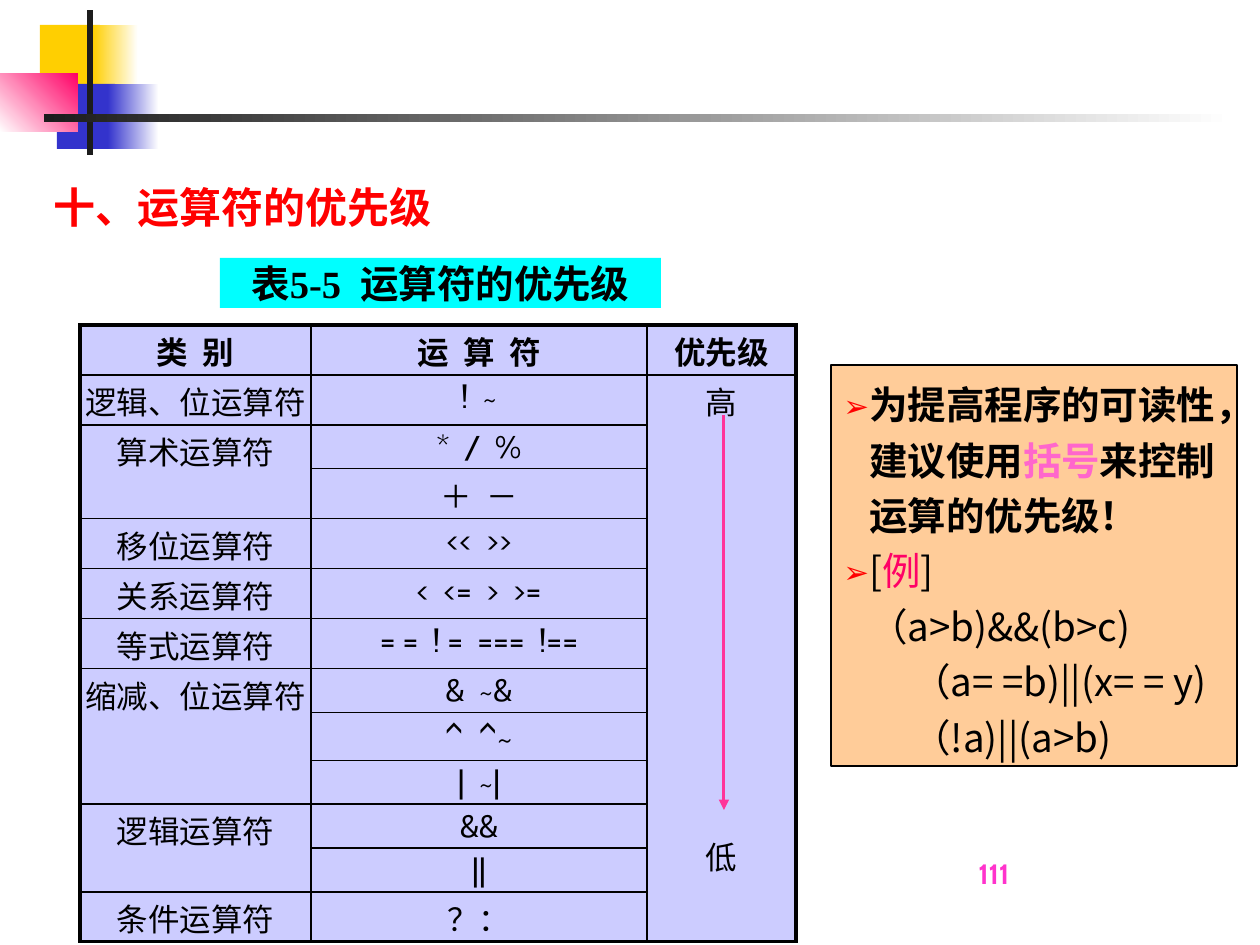
from dataclasses import dataclass

from lxml.etree import SubElement
from pptx import Presentation
from pptx.dml.color import RGBColor
from pptx.enum.shapes import MSO_CONNECTOR as Connector, MSO_SHAPE as Shape
from pptx.enum.text import MSO_ANCHOR as Anchor, PP_ALIGN as Align
from pptx.oxml import parse_xml
from pptx.oxml.ns import nsdecls, qn
from pptx.util import Emu, Pt

PX = 914400 / 126


@dataclass(frozen=True)
class Theme:
    black: str = "000000"
    white: str = "FFFFFF"
    dark: str = "1C1C1C"
    yellow: str = "FFCF01"
    blue: str = "3333CC"
    pink: str = "FF0066"
    red: str = "FF0000"
    cyan: str = "00FFFF"
    peach: str = "FFCC99"
    lilac: str = "CCCCFF"
    arrow: str = "FF3399"
    keyword: str = "FF66CC"
    number: str = "FF33CC"
    latin: str = "Cabin"
    serif: str = "Times New Roman"
    cjk: str = "Noto Sans CJK SC"
    cjk_note: str = "Noto Sans CJK JP"
    heading: int = 24
    body: int = 22
    caret: int = 20
    cell: int = 18
    page: int = 16


T = Theme()

# Category and its operators, from high to low priority
OPERATORS = [
    ("逻辑、位运算符", ["!  ~"]),
    ("算术运算符", ["*  /  %", "＋  －"]),
    ("移位运算符", ["<<  >>"]),
    ("关系运算符", ["<  <=  >  >="]),
    ("等式运算符", ["= =  ! =  ===  !=="]),
    ("缩减、位运算符", ["&  ~&", "^  ^~", "|  ~|"]),
    ("逻辑运算符", ["&&", "||"]),
    ("条件运算符", ["？："]),
]
COLUMN_WIDTHS = (231, 336, 149)
ROW_HEIGHTS = (50, 50, 42, 50, 50, 50, 50, 42, 48, 42, 42, 43, 50)


def px(n):
    return Emu(round(n * PX))


def rgb(color):
    return RGBColor.from_string(color)


def style(p, size, font, color=T.black, bold=False, align=None):
    p.font.size, p.font.name, p.font.bold = Pt(size), font, bold
    p.font.color.rgb = rgb(color)
    p.alignment = align


def add_run(p, text, color, bold):
    r = p.add_run()
    r.text = text
    r.font.name, r.font.size, r.font.bold = T.cjk_note, Pt(T.body), bold
    r.font.color.rgb = rgb(color)
    SubElement(r.font._element, qn("a:ea")).set("typeface", T.cjk_note)


def add_rect(slide, box, fill, fade=None, angle=0, line=None):
    sp = slide.shapes.add_shape(Shape.RECTANGLE, *map(px, box))
    sp.shadow.inherit = False
    if fade:
        sp.fill.gradient()
        sp.fill.gradient_angle = angle
        for stop, color in zip(sp.fill.gradient_stops, (fill, fade)):
            stop.color.rgb = rgb(color)
    else:
        sp.fill.solid()
        sp.fill.fore_color.rgb = rgb(fill)
    if line:
        sp.line.color.rgb = rgb(line)
        sp.line.width = Pt(0.75)
    else:
        sp.line.fill.background()
    return sp


def add_label(slide, box, text, *font):
    tf = slide.shapes.add_textbox(*map(px, box)).text_frame
    tf.word_wrap = True
    tf.text = text
    style(tf.paragraphs[0], *font)
    return tf.paragraphs[0]


def add_decoration(slide):
    add_rect(slide, (40, 25, 60, 66), T.yellow)
    add_rect(slide, (93, 25, 45, 66), T.yellow, T.white)
    add_rect(slide, (57, 84, 58, 65), T.blue)
    add_rect(slide, (108, 84, 51, 65), T.blue, T.white)
    add_rect(slide, (0, 73, 78, 59), T.white, T.pink, angle=45)
    add_rect(slide, (87, 10, 6, 145), T.dark)
    add_rect(slide, (44, 114, 1188, 8), T.dark, T.white)


def set_borders(table, row, col):
    """Thick outer frame, thin inner lines, none inside merged cells."""
    cell = table.cell(row, col)
    last_row, last_col = len(table.rows) - 1, len(table.columns) - 1
    bottom = row + cell.span_height - 1 if cell.is_merge_origin else row
    edges = {"L": col == 0, "R": col == last_col}
    if not cell.is_spanned:
        edges["T"] = row == 0
    if bottom == last_row or not table.cell(bottom + 1, col).is_spanned:
        edges["B"] = bottom == last_row
    tc_pr = cell._tc.get_or_add_tcPr()
    for i, (side, outer) in enumerate(edges.items()):
        tc_pr.insert(i, parse_xml(
            f'<a:ln{side} {nsdecls("a")} w="{Pt(2.25 if outer else 1)}"><a:solidFill>'
            f'<a:srgbClr val="{T.black}"/></a:solidFill></a:ln{side}>'))


def fill_cell(cell, text, bold=False):
    cell.text = text
    for p in cell.text_frame.paragraphs:
        size = T.caret if text.startswith("^") else T.cell
        style(p, size, T.latin, bold=bold, align=Align.CENTER)


def add_priority_table(slide):
    count = len(ROW_HEIGHTS)
    table = slide.shapes.add_table(count, 3, px(80), px(325), px(sum(COLUMN_WIDTHS)),
                                   px(sum(ROW_HEIGHTS))).table
    for column, width in zip(table.columns, COLUMN_WIDTHS):
        column.width = px(width)
    for table_row, height in zip(table.rows, ROW_HEIGHTS):
        table_row.height = px(height)
    for col, text in enumerate(("类  别", "运  算  符", "优先级")):
        fill_cell(table.cell(0, col), text, bold=True)
    row = 1
    for category, ops in OPERATORS:
        fill_cell(table.cell(row, 0), category)
        for i, op in enumerate(ops):
            fill_cell(table.cell(row + i, 1), op)
        if len(ops) > 1:
            table.cell(row, 0).merge(table.cell(row + len(ops) - 1, 0))
        row += len(ops)
    # Priority column: one tall cell from high to low
    scale = table.cell(1, 2)
    scale.merge(table.cell(count - 1, 2))
    fill_cell(scale, "高\n低")
    scale.text_frame.paragraphs[1].space_before = Pt(234)
    for row in range(count):
        for col in range(3):
            cell = table.cell(row, col)
            cell.margin_left = cell.margin_right = px(4)
            cell.margin_top = cell.margin_bottom = px(3)
            cell.fill.solid()
            cell.fill.fore_color.rgb = rgb(T.lilac)
            set_borders(table, row, col)


def set_indent(p, left, bullet=False):
    pr = p._p.get_or_add_pPr()
    pr.set("marL", str(px(left)))
    pr.set("indent", str(px(-left if bullet else 0)))
    if bullet:
        color = SubElement(pr, qn("a:buClr"))
        SubElement(color, qn("a:srgbClr")).set("val", T.red)
        SubElement(pr, qn("a:buSzPct")).set("val", "80000")
        SubElement(pr, qn("a:buFont")).set("typeface", T.cjk_note)
        SubElement(pr, qn("a:buChar")).set("char", "➢")


def add_advice(slide):
    tf = add_rect(slide, (831, 365, 406, 401), T.peach, line=T.black).text_frame
    tf.word_wrap = True
    tf.vertical_anchor = Anchor.BOTTOM
    paragraphs = [
        (26, True, True, [("为提高程序的可读性，建议使用", T.black), ("括号", T.keyword),
                          ("来控制运算的优先级！", T.black)]),
        (26, True, False, [("[", T.black), ("例", T.pink), ("]", T.black), None,
                           ("（a>b)&&(b>c)", T.black)]),
        (69, False, False, [("（a= =b)||(x= = y)", T.black)]),
        (69, False, False, [("（!a)||(a>b)", T.black)]),
    ]
    for i, (left, bullet, bold, runs) in enumerate(paragraphs):
        p = tf.add_paragraph() if i else tf.paragraphs[0]
        p.alignment = Align.LEFT
        p.line_spacing = 1.2
        set_indent(p, left, bullet)
        for run in runs:
            if run:
                add_run(p, *run, bold)
            else:
                p.add_line_break()


def add_arrow(slide, x, top, bottom):
    line = slide.shapes.add_connector(Connector.STRAIGHT, px(x), px(top), px(x), px(bottom))
    line.line.color.rgb = rgb(T.arrow)
    line.line.width = Pt(1.75)
    SubElement(line.line._get_or_add_ln(), qn("a:tailEnd")).set("type", "triangle")
    SubElement(line._element.spPr, qn("a:effectLst"))


def main():
    prs = Presentation()
    prs.slide_width, prs.slide_height = px(1260), px(945)
    slide = prs.slides.add_slide(prs.slide_layouts[6])
    add_decoration(slide)
    add_label(slide, (966, 850, 262, 63), "111", T.page, T.latin, T.number, True)
    title = add_label(slide, (41, 170, 504, 74), "十、运算符的优先级",
                      T.heading, T.cjk, T.red, True)
    title.line_spacing = 1.1
    add_priority_table(slide)
    # Table caption
    tf = add_rect(slide, (220, 258, 441, 50), T.cyan).text_frame
    tf.margin_left = tf.margin_right = px(4)
    tf.margin_top = tf.margin_bottom = px(3)
    tf.text = "表5-5  运算符的优先级"
    style(tf.paragraphs[0], T.body, T.serif, bold=True, align=Align.CENTER)
    add_advice(slide)
    add_arrow(slide, 724, 415, 810)
    prs.save("out.pptx")


if __name__ == "__main__":
    main()
